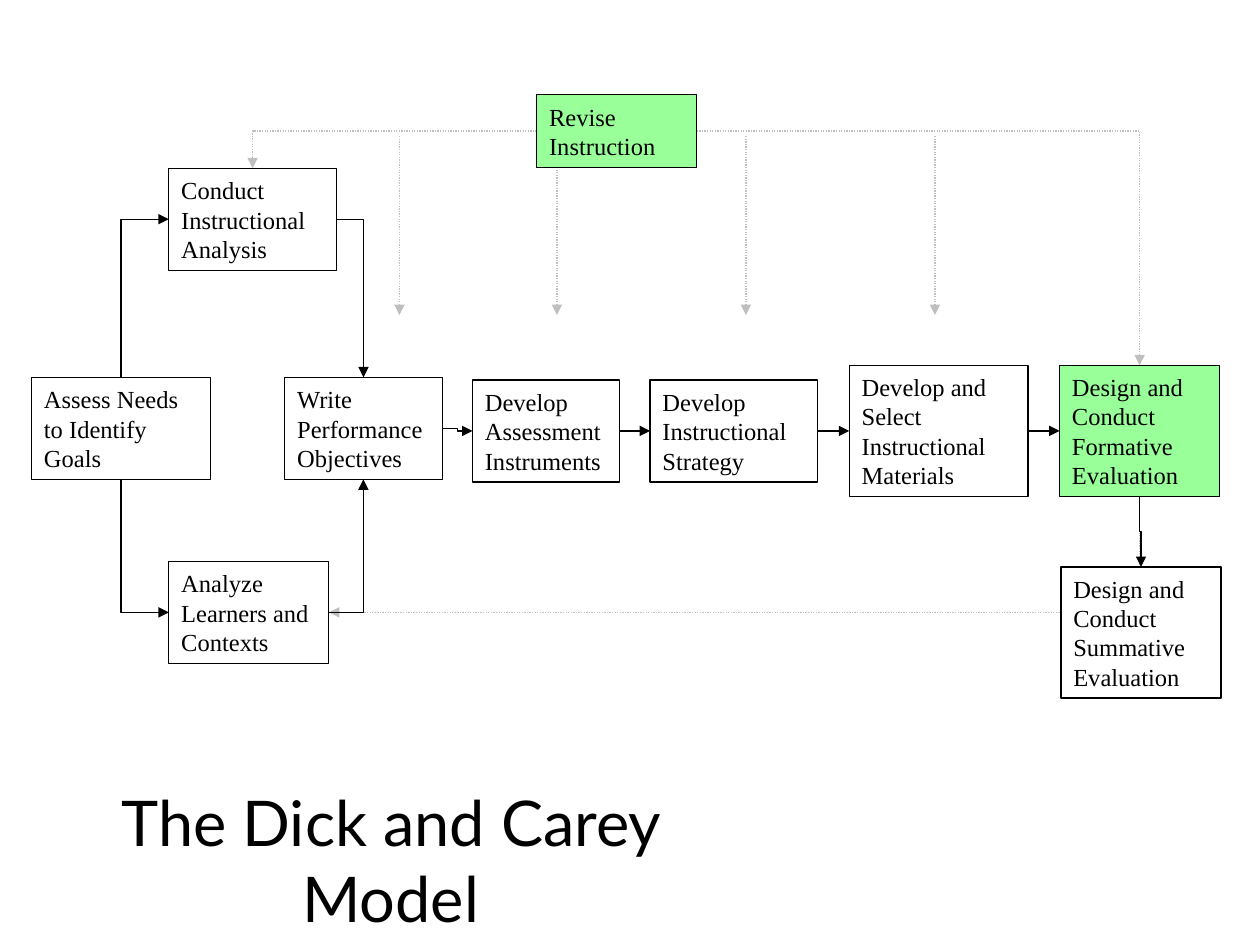
from lxml import etree
from pptx import Presentation
from pptx.dml.color import RGBColor
from pptx.enum.dml import MSO_LINE
from pptx.enum.shapes import MSO_CONNECTOR, MSO_SHAPE
from pptx.enum.text import MSO_ANCHOR, MSO_AUTO_SIZE, PP_ALIGN
from pptx.oxml.ns import qn
from pptx.util import Inches, Pt

RECTANGLE = MSO_SHAPE.RECTANGLE
STRAIGHT, ELBOW = MSO_CONNECTOR.STRAIGHT, MSO_CONNECTOR.ELBOW
DOTTED = MSO_LINE.ROUND_DOT
LEFT, CENTER = PP_ALIGN.LEFT, PP_ALIGN.CENTER
TOP, MIDDLE = MSO_ANCHOR.TOP, MSO_ANCHOR.MIDDLE
FIXED_SIZE = MSO_AUTO_SIZE.NONE

BLACK, GREY, WHITE, GREEN = "000000", "BFBFBF", "FFFFFF", "99FF99"
LINE_STEP, BOX_PADDING = 0.23, 0.12
FLOW_ROW = 3.42
SITES = {"top": 0, "left": 1, "bottom": 2, "right": 3}

# name: text, left, width, middle height on the slide, lines of text, fill
STEPS = {
    "assess": ("Assess Needs to Identify Goals", 0.25, 1.42, 3.4, 3, WHITE),
    "analysis": ("Conduct Instructional Analysis", 1.34, 1.33, 1.74, 3, WHITE),
    "learners": ("Analyze Learners and Contexts", 1.34, 1.27, 4.86, 3, WHITE),
    "objectives": ("Write Performance Objectives", 2.26, 1.25, 3.4, 3, WHITE),
    "assessment": ("Develop Assessment Instruments", 3.75, 1.17, FLOW_ROW, 3, WHITE),
    "strategy": ("Develop Instructional Strategy", 5.16, 1.33, FLOW_ROW, 3, WHITE),
    "materials": ("Develop and Select Instructional Materials", 6.74, 1.42, FLOW_ROW, 4, WHITE),
    "formative": ("Design and Conduct Formative Evaluation", 8.41, 1.27, FLOW_ROW, 4, GREEN),
    "summative": ("Design and Conduct Summative Evaluation", 8.42, 1.27, 5.02, 4, WHITE),
    "revise": ("Revise Instruction", 4.26, 1.27, 1.04, 2, GREEN),
}
FLOW = [
    ("assess", "top", "analysis", "left"),
    ("assess", "bottom", "learners", "left"),
    ("analysis", "right", "objectives", "top"),
    ("learners", "right", "objectives", "bottom"),
    ("objectives", "right", "assessment", "left"),
    ("assessment", "right", "strategy", "left"),
    ("strategy", "right", "materials", "left"),
    ("materials", "right", "formative", "left"),
    ("formative", "bottom", "summative", "top"),
]
FEEDBACK = [
    ("revise", "left", "analysis", "top"),
    ("revise", "right", "formative", "top"),
    ("formative", "bottom", "learners", "right"),
]
REVISION_COLUMNS = (3.17, 4.42, 5.92, 7.42)
REVISION_TOP, REVISION_BOTTOM = 1.08, 2.5


def color(hex_value):
    return RGBColor.from_string(hex_value)


def format_text(frame, text, font_name, size, alignment, anchor):
    frame.text = text
    frame.vertical_anchor = anchor
    frame.auto_size = FIXED_SIZE
    para = frame.paragraphs[0]
    para.alignment = alignment
    para.font.name = font_name
    para.font.size = Pt(size)
    para.font.color.rgb = color(BLACK)


def add_title(page, text):
    title = page.shapes.title
    title.left, title.top = Inches(0.42), Inches(6.17)
    title.width, title.height = Inches(5.36), Inches(0.57)
    format_text(title.text_frame, text, "Lato", 36, CENTER, TOP)
    title.text_frame.word_wrap = False


def add_step(page, text, left, width, middle, lines, fill):
    height = LINE_STEP * lines + BOX_PADDING
    box = page.shapes.add_shape(RECTANGLE, Inches(left), Inches(middle - height / 2),
                                Inches(width), Inches(height))
    box.shadow.inherit = False
    box.fill.solid()
    box.fill.fore_color.rgb = color(fill)
    box.line.color.rgb = color(BLACK)
    box.line.width = Pt(0.75)
    format_text(box.text_frame, text, "Times New Roman", 14, LEFT, MIDDLE)
    box.text_frame.word_wrap = True
    return box


def style_arrow(page, arrow, feedback):
    """Feedback arrows are dotted grey and lie behind the boxes."""
    arrow.line.color.rgb = color(GREY if feedback else BLACK)
    arrow.line.width = Pt(0.75)
    if feedback:
        arrow.line.dash_style = DOTTED
        page.shapes._spTree.insert(2, arrow._element)
    etree.SubElement(arrow.line._get_or_add_ln(), qn("a:tailEnd"), type="triangle")
    etree.SubElement(arrow._element.spPr, qn("a:effectLst"))


def turn_to_vertical_start(arrow):
    """Rotate an elbow so that its first leg runs up or down."""
    run = arrow.end_x - arrow.begin_x
    drop = arrow.end_y - arrow.begin_y
    center_x = (arrow.begin_x + arrow.end_x) // 2
    center_y = (arrow.begin_y + arrow.end_y) // 2
    arrow.width, arrow.height = abs(drop), abs(run)
    arrow.left = center_x - arrow.width // 2
    arrow.top = center_y - arrow.height // 2
    frame = arrow._element.spPr.xfrm
    frame.rot = 270 if run > 0 else 90
    frame.flipH = (run > 0) == (drop > 0)
    frame.flipV = False


def connect(page, boxes, source, source_side, target, target_side, feedback):
    arrow = page.shapes.add_connector(ELBOW, 0, 0, 0, 0)
    arrow.begin_connect(boxes[source], SITES[source_side])
    arrow.end_connect(boxes[target], SITES[target_side])
    starts_vertical = source_side in ("top", "bottom")
    ends_vertical = target_side in ("top", "bottom")
    geometry = arrow._element.spPr.find(qn("a:prstGeom"))
    if starts_vertical != ends_vertical:
        geometry.set("prst", "bentConnector2")
    elif arrow.begin_y == arrow.end_y:
        geometry.set("prst", "straightConnector1")
    if starts_vertical:
        turn_to_vertical_start(arrow)
    style_arrow(page, arrow, feedback)


def add_revision_arrow(page, x):
    arrow = page.shapes.add_connector(STRAIGHT, Inches(x), Inches(REVISION_TOP),
                                      Inches(x), Inches(REVISION_BOTTOM))
    style_arrow(page, arrow, feedback=True)


def main():
    deck = Presentation()
    deck.slide_width, deck.slide_height = Inches(10), Inches(7.5)
    page = deck.slides.add_slide(deck.slide_layouts.get_by_name("Title Only"))
    add_title(page, "The Dick and Carey Model")
    boxes = {name: add_step(page, *step) for name, step in STEPS.items()}
    for link in FLOW:
        connect(page, boxes, *link, feedback=False)
    for link in FEEDBACK:
        connect(page, boxes, *link, feedback=True)
    for x in REVISION_COLUMNS:
        add_revision_arrow(page, x)
    deck.save("out.pptx")


if __name__ == "__main__":
    main()
